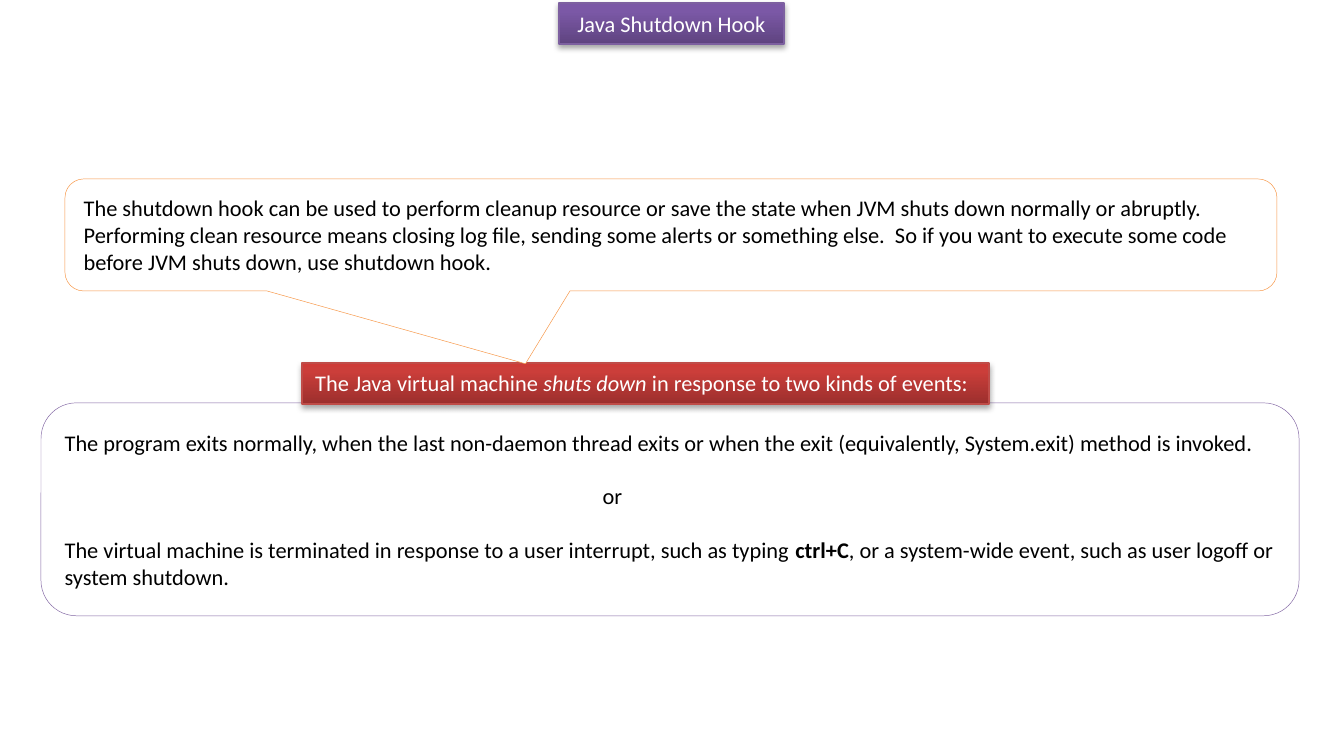
"""Build the Java Shutdown Hook slide."""
from copy import deepcopy
from typing import NamedTuple

from lxml import etree
from pptx import Presentation, util as u
from pptx.dml.color import RGBColor
from pptx.enum import shapes, text
from pptx.oxml import ns

PX_PER_INCH = 134.4
COLORS = {
    "white": "FFFFFF", "black": "000000",
    "purple": "7D60A0", "violet": "8064A2", "red": "BF4C48", "orange": "F79646",
}
GRADIENTS = {
    "purple": ("5F4480", "7B58A6", "7C57A8"),
    "red": ("9C2F2D", "CB3E3A", "CE3B37"),
}
STOPS = (0, 0.8, 1)
FONT = {"name": "Calibri", "size": u.Pt(12)}
LINE_GAP = u.Pt(14.4)


class Run(NamedTuple):
    text: str
    style: dict = {}


class Para(NamedTuple):
    runs: list[Run]
    indent: int = 0
    gap: int = 0


class Box(NamedTuple):
    left: int
    top: int
    width: int
    height: int
    line: str
    paras: list[Para]
    kind: shapes.MSO_SHAPE = shapes.MSO_SHAPE.RECTANGLE
    adjust: tuple = ()
    wrap: bool = True
    align: text.PP_ALIGN = text.PP_ALIGN.LEFT


TITLE = Box(559, 3, 225, 41, "purple", [Para([Run("Java Shutdown Hook")])],
            align=text.PP_ALIGN.CENTER)
EVENTS = Box(41, 403, 1258, 213, "violet", [
    Para([Run("The program exits normally, when the last non-daemon thread exits or when "
              "the exit (equivalently, System.exit) method is invoked.")]),
    Para([Run("or")], indent=538, gap=LINE_GAP),
    Para([Run("The virtual machine is terminated in response to a user interrupt, "
              "such as typing "),
          Run("ctrl+C", {"bold": True}),
          Run(", or a system-wide event, such as user logoff or system shutdown.")]),
], shapes.MSO_SHAPE.ROUNDED_RECTANGLE)
BANNER = Box(302, 363, 687, 41, "red", [
    Para([Run("The Java virtual machine "),
          Run("shuts down", {"italic": True}),
          Run(" in response to two kinds of events:")]),
], wrap=False)
CALLOUT = Box(65, 179, 1212, 112, "orange", [
    Para([Run("The shutdown hook can be used to perform cleanup resource or save the state "
              "when JVM shuts down normally or abruptly.")]),
    Para([Run("Performing clean resource means closing log file, sending some alerts or "
              "something else.  So if you want to execute some code before JVM shuts down, "
              "use shutdown hook.")]),
], shapes.MSO_SHAPE.ROUNDED_RECTANGULAR_CALLOUT, (-0.12, 1.15, 0.167))


def px(n: int) -> int:
    return u.Inches(n / PX_PER_INCH)


def rgb(name: str) -> RGBColor:
    return RGBColor.from_string(COLORS[name])


def set_attrs(obj, values: dict) -> None:
    for name, value in values.items():
        setattr(obj, name, value)


def paint_gradient(s, colors: tuple) -> None:
    s.fill.gradient()
    s.fill.gradient_angle = 90
    stops = s._element.spPr.find(".//" + ns.qn("a:gsLst"))
    stops.append(deepcopy(stops[-1]))
    for stop, position, color in zip(s.fill.gradient_stops, STOPS, colors):
        stop.position = position
        stop.color.rgb = RGBColor.from_string(color)


def add_shadow(s) -> None:
    effects = s._element.spPr.find(ns.qn("a:effectLst"))
    shadow = etree.SubElement(effects, ns.qn("a:outerShdw"), blurRad=str(u.Pt(3.1)),
                              dist=str(u.Pt(1.8)), dir="5400000", rotWithShape="0")
    color = etree.SubElement(shadow, ns.qn("a:srgbClr"), val=COLORS["black"])
    etree.SubElement(color, ns.qn("a:alpha"), val="35000")


def write_text(tf, box: Box, color: str) -> None:
    for i, para in enumerate(box.paras):
        p = tf.add_paragraph() if i else tf.paragraphs[0]
        set_attrs(p, {"alignment": box.align, "space_before": para.gap,
                      "space_after": para.gap})
        if para.indent:
            p._p.get_or_add_pPr().set("marL", str(px(para.indent)))
        for run in para.runs:
            r = p.add_run()
            r.text = run.text
            set_attrs(r.font, FONT | run.style)
            r.font.color.rgb = rgb(color)


def format_box(s, box: Box) -> None:
    is_label = box.line in GRADIENTS
    set_attrs(s, {"left": px(box.left), "top": px(box.top),
                  "width": px(box.width), "height": px(box.height)})
    s.line.color.rgb = rgb(box.line)
    s.line.width = u.Pt(0.75 if is_label else 0.25)
    s.shadow.inherit = False
    if is_label:
        paint_gradient(s, GRADIENTS[box.line])
        add_shadow(s)
    else:
        s.fill.solid()
        s.fill.fore_color.rgb = rgb("white")
    tf = s.text_frame
    set_attrs(tf, {
        "word_wrap": box.wrap,
        "auto_size": text.MSO_AUTO_SIZE.NONE,
        "vertical_anchor": text.MSO_ANCHOR.TOP if is_label else text.MSO_ANCHOR.MIDDLE,
    })
    write_text(tf, box, "white" if is_label else "black")


def add_box(slide, box: Box) -> None:
    s = slide.shapes.add_shape(box.kind, 0, 0, px(box.width), px(box.height))
    for i, value in enumerate(box.adjust):
        s.adjustments[i] = value
    format_box(s, box)


def main() -> None:
    prs = Presentation()
    set_attrs(prs, {"slide_width": u.Inches(10), "slide_height": u.Inches(5.5)})
    slide = prs.slides.add_slide(prs.slide_layouts[5])
    format_box(slide.shapes.title, TITLE)
    for box in (EVENTS, BANNER, CALLOUT):
        add_box(slide, box)
    prs.save("out.pptx")


if __name__ == "__main__":
    main()
